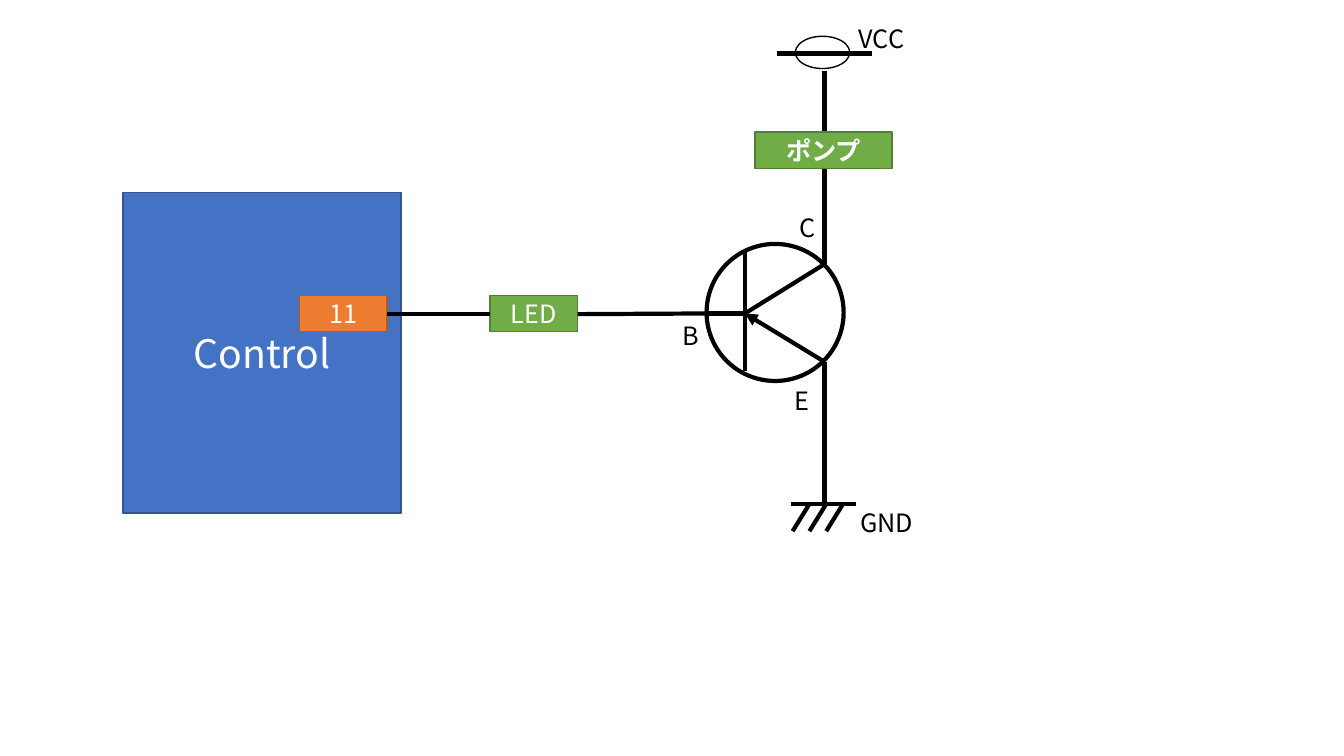
from pptx import Presentation
from pptx.dml.color import RGBColor as Rgb
from pptx.enum.shapes import MSO_CONNECTOR as Conn, MSO_SHAPE as Kind
from pptx.enum.text import MSO_ANCHOR as Anchor, PP_ALIGN as Align
from pptx.oxml.ns import qn
from pptx.util import Inches, Pt
from lxml.etree import SubElement as Sub

# Grid of 80 columns by 45 rows, with square cells
COLS, ROWS = 80, 45
WIDE, HIGH = Inches(13.333), Inches(7.5)
CELL = HIGH / ROWS
FACE = "Noto Sans CJK JP"
BLUE, ORANGE, GREEN = ("4472C4", "325491"), ("ED7D31", "AF5C24"), ("70AD47", "538035")
BLACK, WHITE = "000000", "FFFFFF"
PIN = (5.22, 2.16)
THICK, THIN = 3, 1


def grid(*vals):
    return [round(v * CELL) for v in vals]


def tint(part, code):
    part.rgb = Rgb.from_string(code)


def write(shape, text, code, align, anchor, **form):
    frame = shape.text_frame
    frame.word_wrap, frame.vertical_anchor = True, anchor
    para = frame.paragraphs[0]
    para.alignment = align
    run = para.add_run()
    run.text = text
    for key, val in {"name": FACE, "size": Pt(18), **form}.items():
        setattr(run.font, key, val)
    tint(run.font.color, code)
    Sub(run.font._element, qn("a:ea")).set("typeface", FACE)


def draw(shapes, kind, box, fill, edge, width):
    shape = shapes.add_shape(kind, *grid(*box))
    shape.shadow.inherit = False
    if fill:
        shape.fill.solid()
        tint(shape.fill.fore_color, fill)
    else:
        shape.fill.background()
    tint(shape.line.color, edge)
    shape.line.width = Pt(width)
    return shape


def block(shapes, box, text, hues, **form):
    shape = draw(shapes, Kind.RECTANGLE, box, *hues, THIN)
    write(shape, text, WHITE, Align.CENTER, Anchor.MIDDLE, **form)


def label(shapes, box, text, align=Align.LEFT, anchor=Anchor.TOP):
    write(shapes.add_textbox(*grid(*box)), text, BLACK, align, anchor)


def wire(shapes, start, end, arrow=False):
    line = shapes.add_connector(Conn.STRAIGHT, *grid(*start, *end))
    tint(line.line.color, BLACK)
    line.line.width = Pt(THICK)
    if arrow:
        Sub(line.line._get_or_add_ln(), qn("a:tailEnd")).set("type", "triangle")
    Sub(line._element.spPr, qn("a:effectLst"))


def board(shapes, box):
    """Controller board with its output pin."""
    x, y = box[:2]
    block(shapes, box, "Control", BLUE, size=Pt(28))
    block(shapes, (x + 10.5, y + 6.12, *PIN), "11", ORANGE)


def switch(shapes, box):
    """Transistor: circle, electrodes and their letters."""
    group = shapes.add_group_shape().shapes
    x, y, w, h = box
    draw(group, Kind.OVAL, box, None, BLACK, THICK)
    bar, mid, rail = x + 2.28, y + 4.14, x + 7.02
    wire(group, (bar, y + 0.42), (bar, y + 7.56))
    wire(group, (x, mid), (bar, mid))
    wire(group, (rail, y + 1.2), (bar, mid))
    wire(group, (rail, y + 7.02), (bar, mid), arrow=True)
    for text, dx, dy in (("B", -2.04, 4.26), ("E", 4.62, 8.1), ("C", 4.92, -2.16)):
        label(group, (x + dx, y + dy, 3, 2.4), text)


def ground(shapes, box):
    """Ground bar with three slanted strokes."""
    x, y, w, h = box
    wire(shapes, (x + w, y), (x, y))
    for i in range(3):
        top = x + 1.08 + i
        wire(shapes, (top, y), (top - 1, y + h))
    label(shapes, (x + 3.06, y, *PIN), "GND", Align.CENTER, Anchor.MIDDLE)


def supply(shapes, box):
    """Supply bar crossed by a flat ring."""
    x, y, w, h = box
    mid = y + h / 2 + 0.06
    wire(shapes, (x, mid), (x + w, mid))
    draw(shapes, Kind.OVAL, (x + 1.08, y, 3.24, h), None, BLACK, THIN)
    label(shapes, (x + 4.26, y - 1.08, 5.22, 2.4), "VCC")


def circuit(shapes):
    """Whole diagram: signal row and power rail."""
    row, rail = 18.7, 49.08
    board(shapes, (7.32, 11.46, 16.56, 19.08))
    # Signal row
    block(shapes, (29.16, 17.58, *PIN), "LED", GREEN)
    wire(shapes, (23.04, row), (29.16, row))
    switch(shapes, (42.06, 14.52, 8.16, 8.16))
    wire(shapes, (34.38, row), (42.06, 18.66))
    # Power rail
    for top, end in ((4.2, 7.86), (10.02, 15.72), (21.54, 30.06)):
        wire(shapes, (rail, top), (rail, end))
    block(shapes, (44.94, 7.86, 8.16, 2.16), "ポンプ", GREEN, bold=True)
    ground(shapes, (47.1, 30, 3.84, 1.62))
    supply(shapes, (46.26, 2.16, 5.64, 1.92))


deck = Presentation()
deck.slide_width, deck.slide_height = WIDE, HIGH
circuit(deck.slides.add_slide(deck.slide_layouts[6]).shapes)
deck.save("out.pptx")
